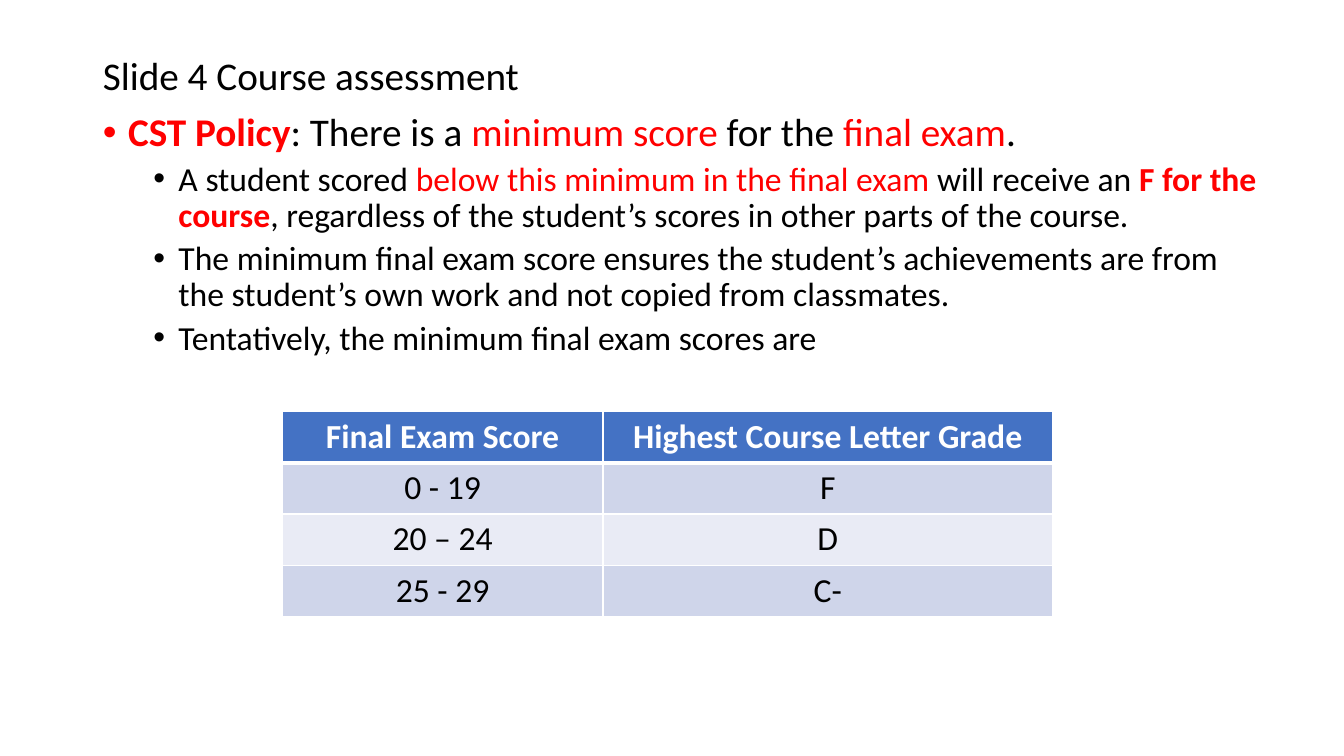
from lxml.etree import SubElement
from pptx import Presentation
from pptx.dml.color import RGBColor
from pptx.enum.text import MSO_ANCHOR, MSO_AUTO_SIZE, PP_ALIGN
from pptx.oxml.ns import qn
from pptx.util import Inches, Pt

BLACK, RED, WHITE = "000000", "FF0000", "FFFFFF"
HEADER_FILL, BAND_FILLS = "4472C4", ("CFD5EA", "E9EBF5")

HEADING = [("Slide 4 Course assessment",)]
POLICY = [
    ("CST Policy", RED, True), (": There is a ",), ("minimum score ", RED),
    ("for the ",), ("final exam", RED), (".",),
]
DETAILS = [
    [("A student scored ",), ("below this minimum in the final exam ", RED),
     ("will receive an ",), ("F for the course", RED, True),
     (", regardless of the student’s scores in other parts of the course.",)],
    [("The minimum final exam score ensures the student’s achievements are "
      "from the student’s own work and not copied from classmates.",)],
    [("Tentatively, the minimum final exam scores are",)],
]
GRADES = [
    ("Final Exam Score", "Highest Course Letter Grade"),
    ("0 - 19", "F"),
    ("20 – 24", "D"),
    ("25 - 29", "C-"),
]


def color(code):
    return RGBColor.from_string(code)


class SlideBuilder:
    font = "Calibri"

    def __init__(self, page):
        self.page = page

    def add_text(self, para, text, shade=BLACK, bold=False, size=24):
        span = para.add_run()
        span.text = text
        span.font.name = self.font
        span.font.size = Pt(size)
        span.font.bold = bold
        span.font.color.rgb = color(shade)

    def body(self, left, top, width, height):
        """Place the body placeholder and return its text frame."""
        title = self.page.shapes.title
        title.element.getparent().remove(title.element)
        box = self.page.placeholders[1]
        box.left, box.top = Inches(left), Inches(top)
        box.width, box.height = Inches(width), Inches(height)
        frame = box.text_frame
        frame.word_wrap = True
        frame.auto_size = MSO_AUTO_SIZE.NONE
        frame.vertical_anchor = MSO_ANCHOR.TOP
        return frame

    def paragraph(self, para, spans, size=28, before=10, level=0, indent=0):
        """Fill a paragraph; an indent above zero gives it a bullet."""
        para.level = level
        para.line_spacing = 0.9
        para.space_before = Pt(before)
        properties = para._p.get_or_add_pPr()
        properties.set("marL", str(Inches(indent)))
        properties.set("indent", str(Inches(-0.25 if indent else 0)))
        if indent:
            SubElement(properties, qn("a:buFont"), typeface="Arial")
            SubElement(properties, qn("a:buChar"), char="•")
        else:
            SubElement(properties, qn("a:buNone"))
        for span in spans:
            self.add_text(para, *span, size=size)

    def border(self, cell, side, width):
        properties = cell._tc.get_or_add_tcPr()
        line = SubElement(properties, qn(f"a:ln{side}"), w=str(Pt(width)))
        fill = SubElement(line, qn("a:solidFill"))
        SubElement(fill, qn("a:srgbClr"), val=WHITE)

    def table(self, rows, left, top, widths, row_height):
        grid = self.page.shapes.add_table(
            len(rows), len(widths), Inches(left), Inches(top),
            Inches(sum(widths)), Inches(row_height * len(rows))).table
        for column, width in zip(grid.columns, widths):
            column.width = Inches(width)
        for i, texts in enumerate(rows):
            grid.rows[i].height = Inches(row_height)
            header = i == 0
            for j, text in enumerate(texts):
                cell = grid.cell(i, j)
                for side in "LRTB":
                    thick = (i, side) in ((0, "B"), (1, "T"))
                    self.border(cell, side, 3 if thick else 1)
                cell.fill.solid()
                cell.fill.fore_color.rgb = color(
                    HEADER_FILL if header else BAND_FILLS[(i - 1) % 2])
                para = cell.text_frame.paragraphs[0]
                para.alignment = PP_ALIGN.CENTER
                self.add_text(para, text, WHITE if header else BLACK, header)


def main():
    deck = Presentation()
    deck.slide_width, deck.slide_height = Inches(13.33), Inches(7.5)
    builder = SlideBuilder(deck.slides.add_slide(deck.slide_layouts[1]))

    frame = builder.body(0.92, 0.51, 11.66, 3.25)
    builder.paragraph(frame.paragraphs[0], HEADING)
    builder.paragraph(frame.add_paragraph(), POLICY, indent=0.25)
    for spans in DETAILS:
        builder.paragraph(frame.add_paragraph(), spans, size=24, before=5,
                          level=1, indent=0.75)

    builder.table(GRADES, 2.8, 4.08, widths=(3.18, 4.46), row_height=0.51)
    deck.save("out.pptx")


if __name__ == "__main__":
    main()
